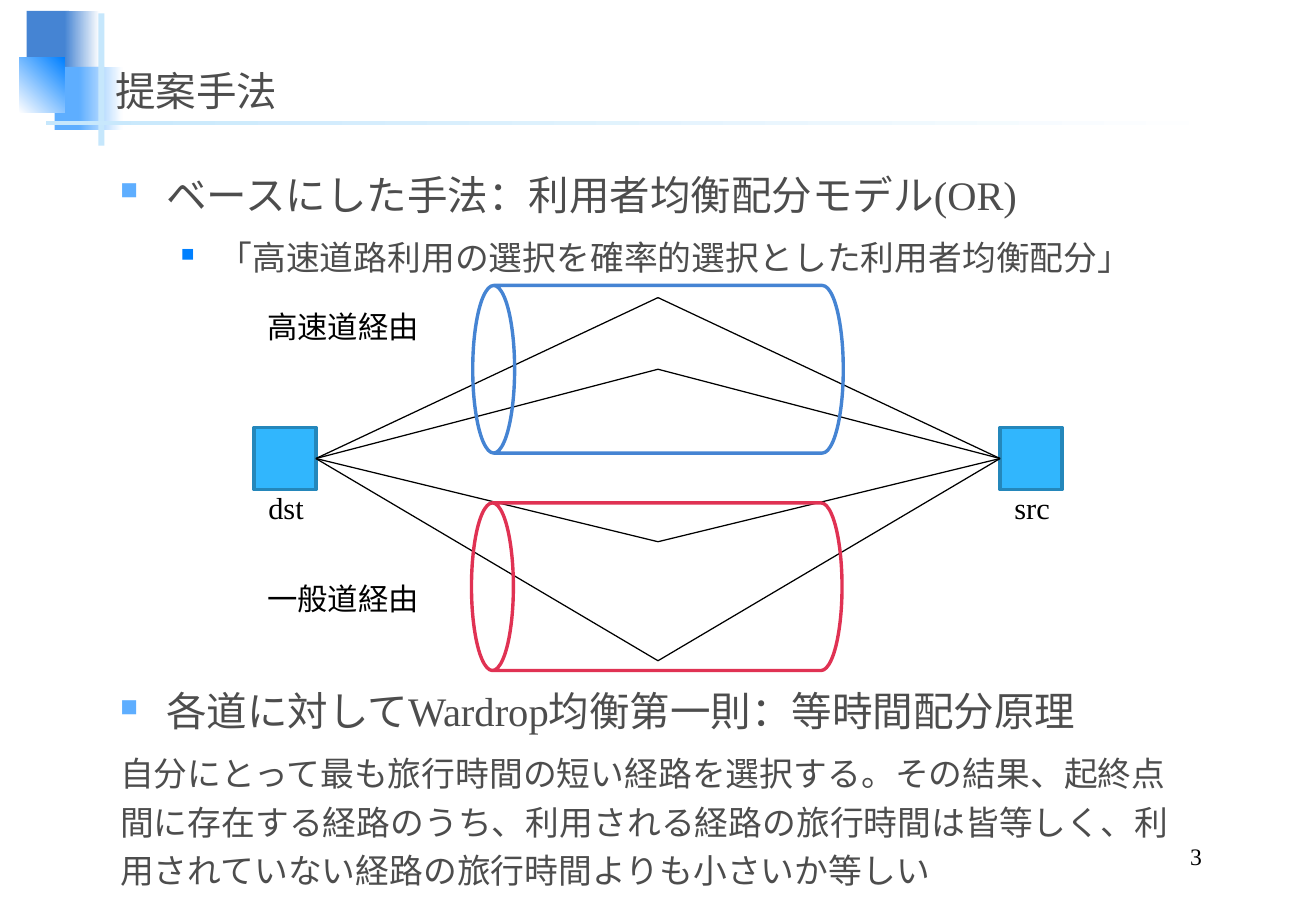
from dataclasses import dataclass

from lxml import etree
from pptx import Presentation
from pptx.dml.color import RGBColor
from pptx.enum.shapes import MSO_CONNECTOR, MSO_SHAPE as SHAPE
from pptx.enum.text import MSO_ANCHOR as ANCHOR, PP_ALIGN as ALIGN
from pptx.oxml.ns import qn
from pptx.util import Inches, Pt


@dataclass(frozen=True)
class Theme:
    serif: str = "Times New Roman"
    sans: str = "Arial"
    heading: int = 24
    body: int = 20
    label: int = 18
    number: int = 14
    text: str = "4D4D4D"
    black: str = "000000"
    white: str = "FFFFFF"
    blue: str = "4584D3"
    sky: str = "5EAEFF"
    azure: str = "0080FF"
    pale: str = "C6E7FC"
    node: str = "31B6FD"
    node_edge: str = "2487BB"
    red: str = "E03253"


@dataclass(frozen=True)
class Bullet:
    color: str
    size: int
    margin: float
    hang: float


THEME = Theme()
LEVEL_1 = Bullet(THEME.sky, 60, 0.38, 0.38)
LEVEL_2 = Bullet(THEME.azure, 55, 0.81, 0.31)


def rgb(value):
    return RGBColor.from_string(value)


def add_shape(slide, kind, box, colors=(), angle=0, line=None):
    """One colour gives a solid fill, two a gradient, none no fill."""
    shape = slide.shapes.add_shape(kind, *map(Inches, box))
    shape.shadow.inherit = False
    if len(colors) == 2:
        shape.fill.gradient()
        shape.fill.gradient_angle = angle
        for stop, color, position in zip(shape.fill.gradient_stops, colors, (0, 1)):
            stop.color.rgb = rgb(color)
            stop.position = position
    elif colors:
        shape.fill.solid()
        shape.fill.fore_color.rgb = rgb(colors[0])
    else:
        shape.fill.background()
    if line:
        shape.line.color.rgb = rgb(line)
        shape.line.width = Pt(2)
    else:
        shape.line.fill.background()
    return shape


def add_line(slide, start, end):
    line = slide.shapes.add_connector(
        MSO_CONNECTOR.STRAIGHT, *map(Inches, (*start, *end)))
    line.line.color.rgb = rgb(THEME.black)
    line.line.width = Pt(0.75)
    etree.SubElement(line._element.spPr, qn("a:effectLst"))


def add_frame(slide, box, wrap=True, anchor=ANCHOR.TOP):
    frame = slide.shapes.add_textbox(*map(Inches, box)).text_frame
    frame.word_wrap = wrap
    frame.vertical_anchor = anchor
    return frame


def add_run(paragraph, text, size, color, font=THEME.serif):
    run = paragraph.add_run()
    run.text = text
    run.font.name = font
    run.font.size = Pt(size)
    run.font.color.rgb = rgb(color)


def add_bullet(paragraph, bullet):
    properties = paragraph._p.get_or_add_pPr()
    properties.set("marL", str(Inches(bullet.margin)))
    properties.set("indent", str(-Inches(bullet.hang)))
    color = etree.SubElement(properties, qn("a:buClr"))
    etree.SubElement(color, qn("a:srgbClr"), val=bullet.color)
    etree.SubElement(properties, qn("a:buSzPct"), val=str(bullet.size * 1000))
    etree.SubElement(properties, qn("a:buChar"), char="■")


def add_ornament(slide, box):
    """Overlapping squares with a vertical bar and a fading rule."""
    left, top = box[:2]
    blocks = (
        (0.06, 0, 0.35, 0.52, (THEME.blue,), 0),
        (0.37, 0, 0.29, 0.52, (THEME.blue, THEME.white), 0),
        (0.29, 0.46, 0.41, 0.52, (THEME.sky,), 0),
        (0.49, 0.46, 0.36, 0.52, (THEME.sky, THEME.white), 0),
        (0, 0.38, 0.37, 0.46, (THEME.white, THEME.azure), 45),
        (0.65, 0.02, 0.05, 1.09, (THEME.pale,), 0),
        (0.22, 0.91, 9.75, 0.03, (THEME.pale, THEME.white), 0),
    )
    for x, y, width, height, colors, angle in blocks:
        add_shape(slide, SHAPE.RECTANGLE, (left + x, top + y, width, height), colors, angle)


def add_title(slide, box, text):
    frame = add_frame(slide, box, anchor=ANCHOR.BOTTOM)
    add_run(frame.paragraphs[0], text, THEME.heading, THEME.text)


def add_body(slide, box, items):
    frame = add_frame(slide, box)
    for index, (text, size, bullet) in enumerate(items):
        paragraph = frame.add_paragraph() if index else frame.paragraphs[0]
        paragraph.line_spacing = 1.2
        if index:
            paragraph.space_before = Pt(6)
        if bullet:
            add_bullet(paragraph, bullet)
        add_run(paragraph, text, size, THEME.text)


def add_label(slide, box, text, font):
    frame = add_frame(slide, box, wrap=False)
    add_run(frame.paragraphs[0], text, THEME.label, THEME.black, font)


def add_route_diagram(slide, box):
    """Two nodes joined by four routes, grouped by two cylinders."""
    left, top, width, height = box
    right, center = left + width, left + width / 2
    node, node_top = 0.51, top + 1.17
    node_middle = node_top + node / 2

    for x, name in ((left, "dst"), (right - node, "src")):
        add_shape(slide, SHAPE.RECTANGLE, (x, node_top, node, node),
                  (THEME.node,), line=THEME.node_edge)
        add_label(slide, (x + 0.02, node_top + 0.46, 0.5, 0.4), name, THEME.serif)

    for bend in (0.1, 0.69, 2.11, 3.09):
        for edge in (left + node, right - node):
            add_line(slide, (edge, node_middle), (center, top + bend))

    # Cylinders lie on their side, so their box is given before rotation
    can_width, can_height = 1.38, 3.05
    for middle, shift, color in ((0.69, 0, THEME.blue), (2.48, -0.01, THEME.red)):
        can = add_shape(slide, SHAPE.CAN, (
            center + shift - can_width / 2, top + middle - can_height / 2,
            can_width, can_height), line=color)
        can.rotation = 270

    for y, text in ((0.14, "高速道経由"), (2.38, "一般道経由")):
        add_label(slide, (left + 0.01, top + y, 1.46, 0.4), text, THEME.sans)


def add_page_number(slide, box, number):
    paragraph = add_frame(slide, box, anchor=ANCHOR.BOTTOM).paragraphs[0]
    paragraph.alignment = ALIGN.RIGHT
    add_run(paragraph, number, THEME.number, THEME.black)


def main():
    presentation = Presentation()
    presentation.slide_width = Inches(10.83)
    presentation.slide_height = Inches(7.5)
    slide = presentation.slides.add_slide(presentation.slide_layouts[6])

    add_ornament(slide, (0.16, 0.09, 9.97, 1.11))
    add_title(slide, (0.85, 0.36, 9.29, 0.63), "提案手法")
    add_body(slide, (0.89, 1.27, 9.06, 1.38), (
        ("ベースにした手法：利用者均衡配分モデル(OR)", THEME.heading, LEVEL_1),
        ("「高速道路利用の選択を確率的選択とした利用者均衡配分」", THEME.body, LEVEL_2),
    ))
    add_page_number(slide, (7.73, 6.9, 2.26, 0.31), "3")
    add_route_diagram(slide, (2.09, 2.35, 6.65, 3.17))
    add_body(slide, (0.89, 5.52, 9.06, 1.38), (
        ("各道に対してWardrop均衡第一則：等時間配分原理", THEME.heading, LEVEL_1),
        ("自分にとって最も旅行時間の短い経路を選択する。その結果、起終点間に存在する経路のうち、"
         "利用される経路の旅行時間は皆等しく、利用されていない経路の旅行時間よりも小さいか等しい",
         THEME.body, None),
    ))
    presentation.save("out.pptx")


if __name__ == "__main__":
    main()
